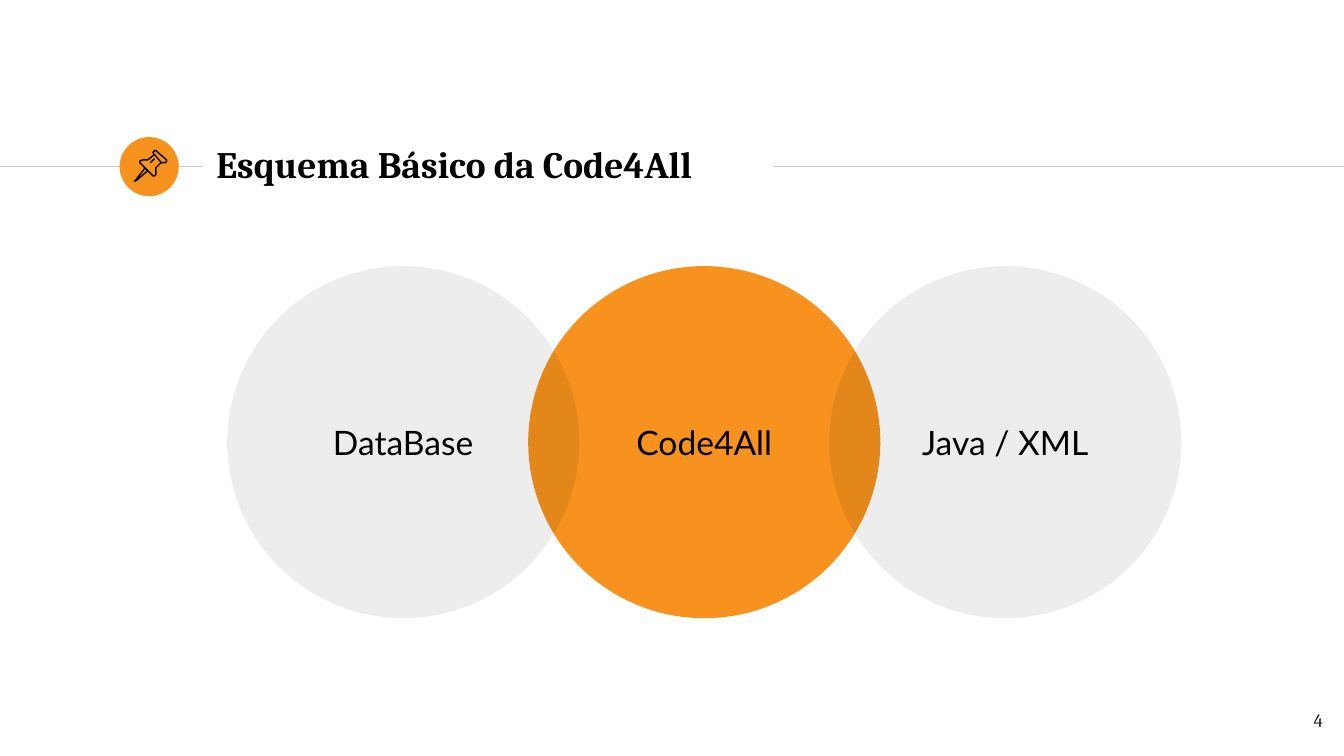
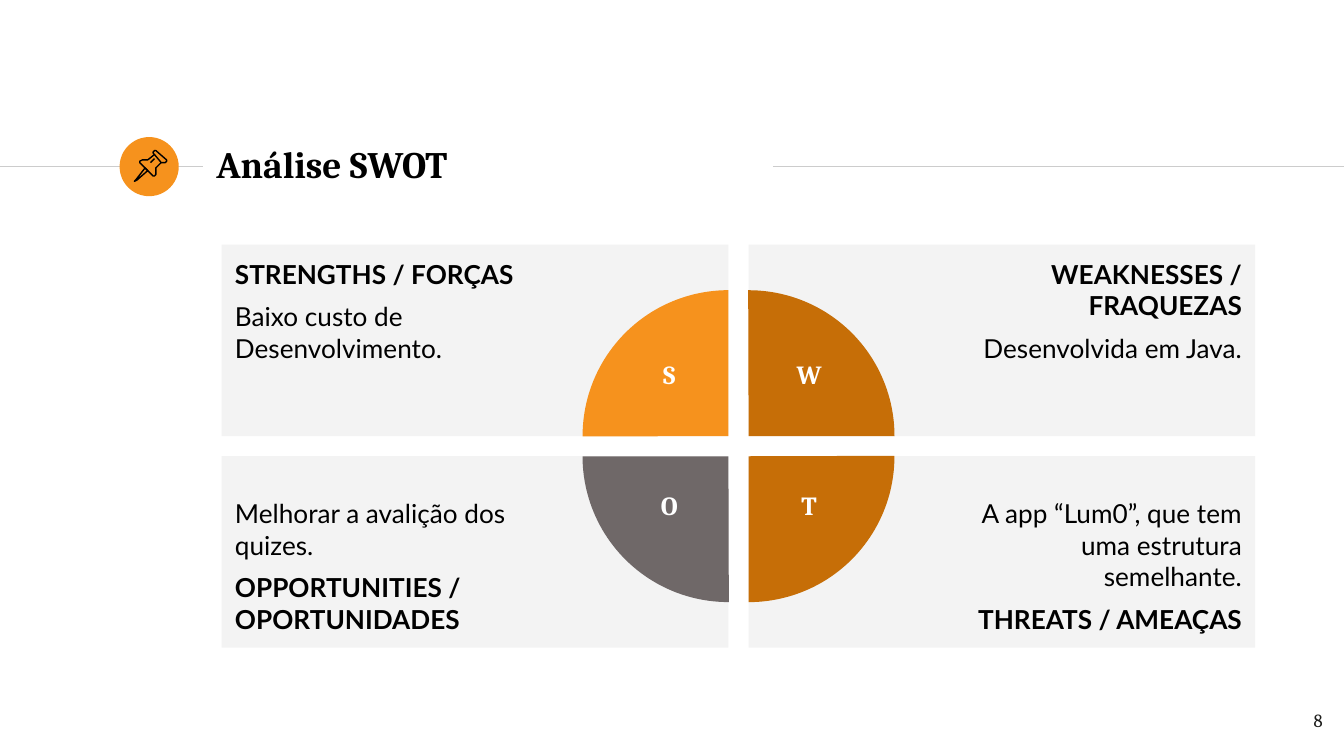
from collections import namedtuple

from lxml.etree import SubElement
from pptx import Presentation
from pptx.dml.color import RGBColor
from pptx.enum.shapes import MSO_CONNECTOR as Link, MSO_SHAPE as Shape
from pptx.enum.text import MSO_ANCHOR as Anchor, PP_ALIGN as Align
from pptx.oxml.ns import qn
from pptx.util import Inches, Pt

SERIF, SANS = "Cambria", "Lato"
BLACK, WHITE, INK = "000000", "FFFFFF", "1D1D1B"
ORANGE, BROWN, GREY = "F6921D", "C66E07", "6F6868"
RULE, CARD = "CCCCCC", "F3F3F3"

CELL = Inches(0.1)
COLUMNS, ROWS = 100, 56.25
PIN_UNIT = Inches(0.01)

Box = namedtuple("Box", "col row cols rows")
Quadrant = namedtuple("Quadrant", "letter label_cols color texts bold_index")

HEADER = Box(0, 9.8, COLUMNS, 4.8)
VENN = Box(16.9, 19.8, 71, 26.2)
MATRIX = Box(16.5, 18.2, 76.9, 30)
NUMBER = Box(93.4, 51.9, 6, 4.3)

PIN_OUTLINES = [
    ([(19, 23), (12, 32), (11, 33), (13, 32), (21, 25)], True),
    ([(26, 13), (31, 19), (33, 19), (34, 19), (35, 18), (35, 17),
      (27, 10), (26, 10), (25, 11), (25, 12)], True),
    ([(26, 13), (21, 17), (19, 17), (17, 17), (15, 18), (15, 19),
      (25, 29), (26, 29), (27, 28), (27, 23), (31, 19)], False),
    ([(23, 19), (26, 16)], False),
]

TOPICS = ["DataBase", "Code4All", "Java / XML"]

QUADRANTS = [
    [Quadrant("S", 2.9, ORANGE,
              ["STRENGTHS / FORÇAS", "Baixo custo de Desenvolvimento."], 0),
     Quadrant("W", 5.6, BROWN,
              ["WEAKNESSES / FRAQUEZAS", "Desenvolvida em Java."], 0)],
    [Quadrant("O", 3.9, GREY,
              ["Melhorar a avalição dos quizes.",
               "OPPORTUNITIES / OPORTUNIDADES"], 1),
     Quadrant("T", 3.4, BROWN,
              ["A app “Lum0”, que tem uma estrutura semelhante.",
               "THREATS / AMEAÇAS"], 1)],
]


def rgb(color):
    """Turn a hex string into a colour."""
    return RGBColor.from_string(color)


def cells(*counts):
    """Turn grid counts into lengths."""
    return [round(count * CELL) for count in counts]


def write(frame, texts, font, size, color=BLACK, align=Align.LEFT,
          anchor=Anchor.TOP, bold_index=None, left=1, right=1, edge=1):
    """Fill a text frame with evenly styled paragraphs."""
    frame.text = "\n".join(texts)
    frame.vertical_anchor = anchor
    frame.margin_left, frame.margin_right = cells(left, right)
    frame.margin_top, frame.margin_bottom = cells(edge, edge)
    for index, paragraph in enumerate(frame.paragraphs):
        paragraph.alignment = align
        if index:
            paragraph.space_before = paragraph.space_after = Pt(6)
        for run in paragraph.runs:
            run.font.name, run.font.size = font, Pt(size)
            run.font.bold = index == bold_index
            run.font.color.rgb = rgb(color)


def draw(slide, kind, box, color, alpha=None):
    """Add a borderless filled shape, optionally see-through."""
    shape = slide.shapes.add_shape(kind, *cells(*box))
    shape.shadow.inherit = False
    shape.fill.solid()
    shape.fill.fore_color.rgb = rgb(color)
    shape.line.fill.background()
    if alpha is not None:
        tint = shape.element.spPr.find(qn("a:solidFill"))[0]
        SubElement(tint, qn("a:alpha"), val=str(alpha * 1000))
    return shape


def add_rule(slide, start, end, row):
    """Add a thin horizontal line between two columns."""
    rule = slide.shapes.add_connector(
        Link.STRAIGHT, *cells(start, row, end, row))
    rule.line.color.rgb = rgb(RULE)
    rule.line.width = Pt(0.75)
    SubElement(rule.element.spPr, qn("a:effectLst"))


def add_pin(slide, badge):
    """Draw the pushpin outlines inside the badge."""
    pin = slide.shapes.add_group_shape()
    for points, closed in PIN_OUTLINES:
        builder = pin.shapes.build_freeform(*points[0], scale=PIN_UNIT)
        builder.add_line_segments(points[1:], close=closed)
        outline = builder.convert_to_shape(*cells(badge.col, badge.row))
        outline.shadow.inherit = False
        outline.fill.background()
        outline.line.color.rgb = rgb(BLACK)
        outline.line.width = Pt(0.75)


def add_header(slide, box, title):
    """Place the rules, the pin badge and the title."""
    middle = box.row + 2.6
    title_box = Box(box.col + 15.1, box.row, 42.4, box.rows)
    badge = Box(box.col + 8.9, middle - 2.2, 4.4, 4.4)
    add_rule(slide, box.col, title_box.col, middle)
    add_rule(slide, title_box.col + title_box.cols, box.col + box.cols, middle)
    draw(slide, Shape.OVAL, badge, ORANGE)
    add_pin(slide, badge)
    heading = slide.shapes.title
    (heading.left, heading.top,
     heading.width, heading.height) = cells(*title_box)
    write(heading.text_frame, [title], SERIF, 20,
          anchor=Anchor.MIDDLE, bold_index=0)


def add_number(slide, box, number):
    """Place the slide number."""
    frame = slide.shapes.add_textbox(*cells(*box)).text_frame
    frame.word_wrap = True
    write(frame, [str(number)], SERIF, 10, INK, Align.RIGHT)


def add_venn(slide, box, topics):
    """Overlap one circle per topic, with the solid middle one at the back."""
    size = box.rows
    step = (box.cols - size) / (len(topics) - 1)
    for index in (1, 0, 2):
        color, alpha = (ORANGE, None) if index == 1 else (BLACK, 7)
        circle = draw(slide, Shape.OVAL,
                      Box(box.col + index * step, box.row, size, size),
                      color, alpha)
        write(circle.text_frame, [topics[index]], SANS, 18,
              align=Align.CENTER, anchor=Anchor.MIDDLE)


def add_card(slide, box, quadrant, is_right, is_lower):
    """Place one quadrant's text card, keeping its inner side free."""
    frame = draw(slide, Shape.RECTANGLE, box, CARD).text_frame
    write(frame, quadrant.texts, SANS, 14,
          align=Align.RIGHT if is_right else Align.LEFT,
          anchor=Anchor.BOTTOM if is_lower else Anchor.TOP,
          bold_index=quadrant.bold_index,
          left=15 if is_right else 1, right=1 if is_right else 15)


def add_wedge(slide, hub, quadrant, is_right, is_lower):
    """Place a lettered quarter circle around the card's inner corner."""
    hub_col, hub_row = hub
    size = 21.7
    wedge = draw(slide, Shape.PIE,
                 Box(hub_col - size / 2, hub_row - size / 2, size, size),
                 quadrant.color)
    wedge.adjustments[0], wedge.adjustments[1] = 107.89, 162
    wedge.rotation = ((0, 90), (270, 180))[is_lower][is_right]
    center = hub_col + (4.5 if is_right else -4.4)
    label = Box(center - quadrant.label_cols / 2,
                hub_row + (2 if is_lower else -6.3), quadrant.label_cols, 4)
    letter = slide.shapes.add_textbox(*cells(*label))
    write(letter.text_frame, [quadrant.letter], SERIF, 14, WHITE,
          Align.CENTER, bold_index=0, edge=0.5)


def add_matrix(slide, box, quadrants):
    """Lay out the four cards, then the wedges that meet in the middle."""
    gap = 1.5
    cols, rows = (box.cols - gap) / 2, (box.rows - gap) / 2
    places = [(quadrants[lower][right], right, lower)
              for lower in (0, 1) for right in (0, 1)]
    for quadrant, right, lower in places:
        card = Box(box.col + right * (cols + gap),
                   box.row + lower * (rows + gap), cols, rows)
        add_card(slide, card, quadrant, right, lower)
    for quadrant, right, lower in places:
        hub = (box.col + cols + right * gap, box.row + rows + lower * gap)
        add_wedge(slide, hub, quadrant, right, lower)


def add_page(deck, title, number):
    """Start a slide with the shared header and number."""
    slide = deck.slides.add_slide(deck.slide_layouts[5])
    add_header(slide, HEADER, title)
    add_number(slide, NUMBER, number)
    return slide


def main():
    """Build and save the deck."""
    deck = Presentation()
    deck.slide_width, deck.slide_height = cells(COLUMNS, ROWS)
    add_venn(add_page(deck, "Esquema Básico da Code4All", 4), VENN, TOPICS)
    add_matrix(add_page(deck, "Análise SWOT", 8), MATRIX, QUADRANTS)
    deck.save("out.pptx")


if __name__ == "__main__":
    main()
